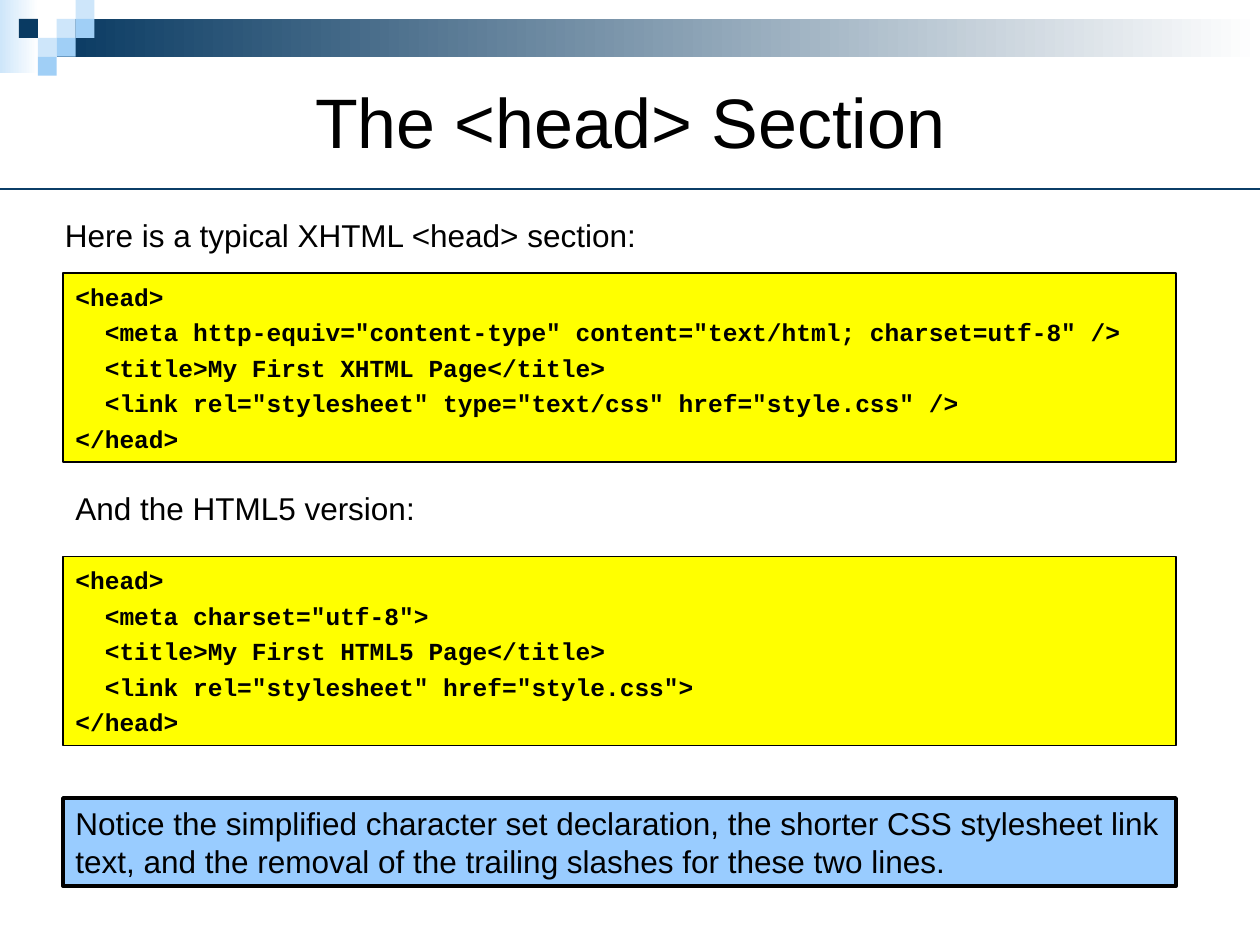
from dataclasses import dataclass

from lxml.etree import SubElement
from pptx import Presentation
from pptx.dml.color import RGBColor
from pptx.enum.shapes import MSO_CONNECTOR, MSO_SHAPE
from pptx.enum.text import MSO_ANCHOR, PP_ALIGN
from pptx.oxml.ns import qn
from pptx.util import Pt


@dataclass(frozen=True)
class Theme:
    black: RGBColor = RGBColor.from_string("000000")
    white: RGBColor = RGBColor.from_string("FFFFFF")
    navy: RGBColor = RGBColor.from_string("093A62")
    rule: RGBColor = RGBColor.from_string("0B3D67")
    pale: RGBColor = RGBColor.from_string("CEE6FA")
    sky: RGBColor = RGBColor.from_string("A0CFF6")
    code_fill: RGBColor = RGBColor.from_string("FFFF00")
    note_fill: RGBColor = RGBColor.from_string("99CCFF")
    text_font: str = "Arial"
    code_font: str = "Courier New"
    title_size: int = 40
    text_size: int = 18
    code_size: int = 14


THEME = Theme()
SLIDE_WIDTH = 720
CELL = 10.8
PANEL_LEFT = 36
PANEL_WIDTH = 636
CODE_HEIGHT = 108
CODE_INDENT = 27

MOSAIC = [
    (3, 1, THEME.pale),
    (4, 0, THEME.pale),
    (4, 1, THEME.sky),
    (2, 2, THEME.pale),
    (1, 1, THEME.navy),
    (3, 2, THEME.sky),
    (2, 3, THEME.sky),
]

XHTML_HEAD = """<head>
  <meta http-equiv="content-type" content="text/html; charset=utf-8" />
  <title>My First XHTML Page</title>
  <link rel="stylesheet" type="text/css" href="style.css" />
</head>"""

HTML5_HEAD = """<head>
  <meta charset="utf-8">
  <title>My First HTML5 Page</title>
  <link rel="stylesheet" href="style.css">
</head>"""

NOTE = (
    "Notice the simplified character set declaration, the shorter CSS stylesheet link "
    "text, and the removal of the trailing slashes for these two lines."
)


def add_run(paragraph, text, size, font=THEME.text_font, bold=False):
    run = paragraph.add_run()
    run.text = text
    run.font.name = font
    run.font.size = Pt(size)
    run.font.bold = bold
    run.font.color.rgb = THEME.black


def add_rectangle(slide, left, top, width, height):
    shape = slide.shapes.add_shape(
        MSO_SHAPE.RECTANGLE, Pt(left), Pt(top), Pt(width), Pt(height)
    )
    shape.shadow.inherit = False
    shape.line.fill.background()
    return shape


def add_fade(slide, left, top, width, height, color):
    fill = add_rectangle(slide, left, top, width, height).fill
    fill.gradient()
    fill.gradient_angle = 0
    for stop, stop_color in zip(fill.gradient_stops, (color, THEME.white)):
        stop.color.rgb = stop_color


def add_banner(slide):
    add_fade(slide, 0, 0, 22, 42, THEME.pale)
    add_fade(slide, 3 * CELL, CELL, SLIDE_WIDTH - 3 * CELL, 2 * CELL, THEME.navy)
    for column, row, color in MOSAIC:
        square = add_rectangle(slide, column * CELL, row * CELL, CELL, CELL)
        square.fill.solid()
        square.fill.fore_color.rgb = color


def add_title(slide, text):
    title = slide.shapes.title
    title.left, title.top, title.width, title.height = Pt(36), Pt(36), Pt(648), Pt(66)
    title.text_frame.vertical_anchor = MSO_ANCHOR.MIDDLE
    paragraph = title.text_frame.paragraphs[0]
    paragraph.alignment = PP_ALIGN.CENTER
    add_run(paragraph, text, THEME.title_size)


def add_rule(slide, top):
    rule = slide.shapes.add_connector(
        MSO_CONNECTOR.STRAIGHT, Pt(0), Pt(top), Pt(SLIDE_WIDTH), Pt(top)
    )
    rule.line.color.rgb = THEME.rule
    rule.line.width = Pt(1.25)
    SubElement(rule._element.spPr, qn("a:effectLst"))


def add_caption(slide, left, top, width, text):
    frame = slide.shapes.add_textbox(Pt(left), Pt(top), Pt(width), Pt(29)).text_frame
    frame.word_wrap = True
    add_run(frame.paragraphs[0], text, THEME.text_size)


def add_panel(slide, top, height, color, line_width, anchor):
    panel = add_rectangle(slide, PANEL_LEFT, top, PANEL_WIDTH, height)
    panel.fill.solid()
    panel.fill.fore_color.rgb = color
    panel.line.color.rgb = THEME.black
    panel.line.width = Pt(line_width)
    frame = panel.text_frame
    frame.word_wrap = True
    frame.vertical_anchor = anchor
    return frame


def add_code(slide, top, code):
    frame = add_panel(
        slide, top, CODE_HEIGHT, THEME.code_fill, 0.75, MSO_ANCHOR.MIDDLE
    )
    for index, line in enumerate(code.splitlines()):
        paragraph = frame.add_paragraph() if index else frame.paragraphs[0]
        paragraph.alignment = PP_ALIGN.LEFT
        paragraph.space_before = Pt(3.5 if index else 0)
        properties = paragraph._p.get_or_add_pPr()
        properties.set("marL", str(Pt(CODE_INDENT)))
        properties.set("indent", str(Pt(-CODE_INDENT)))
        add_run(paragraph, line, THEME.code_size, THEME.code_font, bold=True)


def add_note(slide, top, text):
    frame = add_panel(slide, top, 50.4, THEME.note_fill, 2, MSO_ANCHOR.MIDDLE)
    paragraph = frame.paragraphs[0]
    paragraph.alignment = PP_ALIGN.LEFT
    add_run(paragraph, text, THEME.text_size)


def main():
    presentation = Presentation()
    presentation.slide_width = Pt(SLIDE_WIDTH)
    presentation.slide_height = Pt(540)
    slide = presentation.slides.add_slide(presentation.slide_layouts[5])
    add_banner(slide)
    add_title(slide, "The <head> Section")
    add_rule(slide, 108)
    add_caption(slide, 30, 120, 348, "Here is a typical XHTML <head> section:")
    add_code(slide, 156, XHTML_HEAD)
    add_caption(slide, PANEL_LEFT, 276, 216, "And the HTML5 version:")
    add_code(slide, 318, HTML5_HEAD)
    add_note(slide, 456, NOTE)
    presentation.save("out.pptx")


if __name__ == "__main__":
    main()
